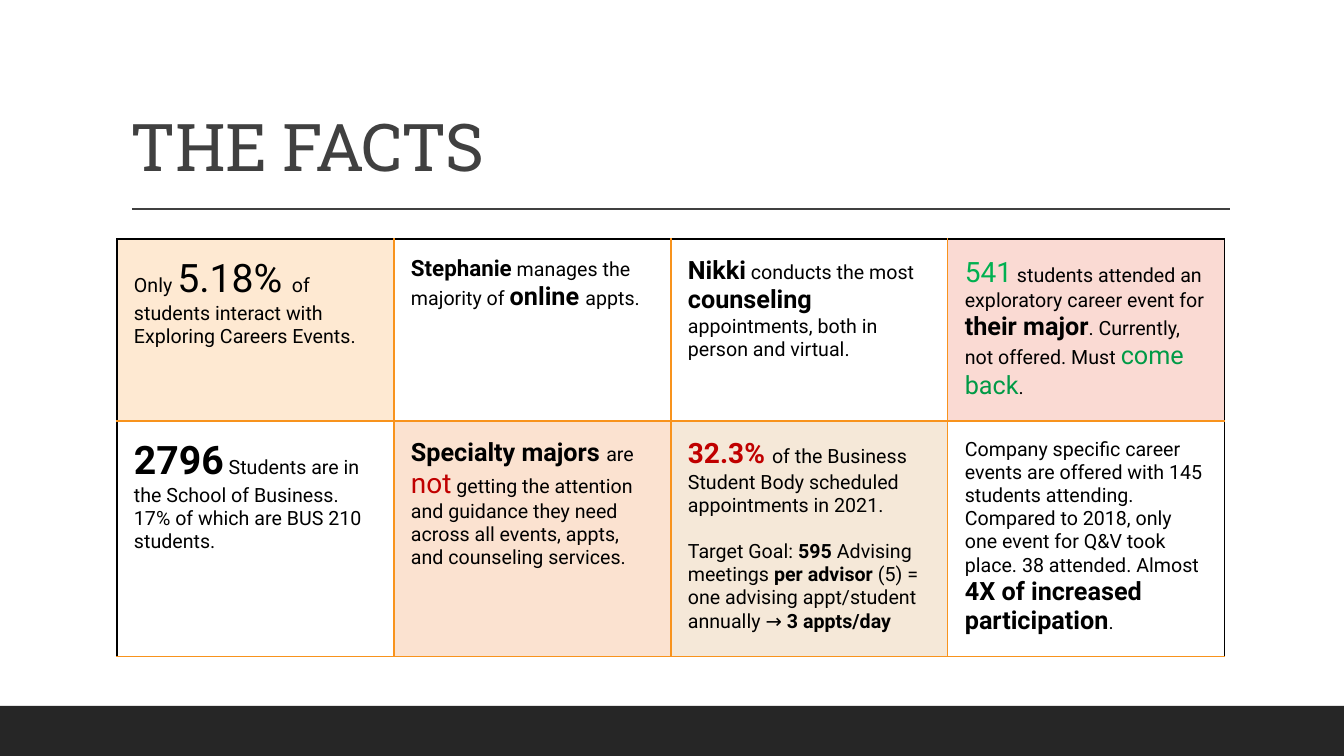
"""Build the slide of career advising facts: a title over a two by four table."""
from lxml import etree
from pptx import Presentation
from pptx import util as u
from pptx.dml.color import RGBColor
from pptx.enum import shapes, text
from pptx.oxml.ns import qn

COLORS = {
    "black": "000000", "dark": "404040", "footer": "262626", "orange": "F8931D",
    "green": "00B050", "deep_green": "009A46", "red": "C00000",
    "cream": "FEE9D2", "rose": "FADAD3", "peach": "FBE2D0", "sand": "F5E8D8",
}
TITLE = "THE FACTS"
BODY_FONT, TITLE_FONT = "Roboto", "Roboto Slab"
BODY = (14, False, "black")
BOLD = (14, True, "black")
STRONG = (18, True, "black")

FACTS = [
    [
        ("cream", [[("Only ", BODY), ("5.18% ", (28, False, "black")),
                    ("of students interact with Exploring Careers Events.", BODY)]]),
        (None, [[("Stephanie", (16, True, "black")), (" manages the majority of ", BODY),
                 ("online ", STRONG), ("appts.", BODY)]]),
        (None, [[("Nikki", STRONG), (" conducts the most ", BODY), ("counseling", STRONG),
                 (" appointments, both in person and virtual.", BODY)]]),
        ("rose", [[("541", (20, False, "green")),
                   (" students attended an exploratory career event for ", BODY),
                   ("their major", STRONG), (". Currently, not offered. Must ", BODY),
                   ("come back", (18, False, "deep_green")), (".", BODY)]]),
    ],
    [
        (None, [[("2796", (28, True, "black")),
                 (" Students are in the School of Business. "
                  "17% of which are BUS 210 students.", BODY)]]),
        ("peach", [[("Specialty majors ", STRONG), ("are ", BODY), ("not", (20, False, "red")),
                    (" getting the attention and guidance they need across all events, "
                     "appts, and counseling services.", BODY)]]),
        ("sand", [[("32.3% ", (20, True, "red")),
                   ("of the Business Student Body scheduled appointments in 2021.", BODY)],
                  [("Target Goal: ", BODY), ("595", BOLD), (" Advising meetings ", BODY),
                   ("per advisor ", BOLD), ("(5) = one advising appt/student annually → ", BODY),
                   ("3 appts/day", BOLD)]]),
        (None, [[("Company specific career events are offered with 145 students attending. "
                  "Compared to 2018, only one event for Q&V took place. 38 attended. Almost ",
                  BODY),
                 ("4X of increased participation", STRONG), (".", BODY)]]),
    ],
]

SLIDE_W, SLIDE_H = 1344, 756
FOOTER_H = 50
TITLE_BOX = (121, 31, 1109, 160)
RULE = (132, 209, 1230, 209)
TABLE_LEFT, TABLE_TOP, COLUMN_W = 117, 239, 277
ROW_HEIGHTS = [178, 231]
CELL_MARGIN = 17
PARAGRAPH_GAP = 16.5


def px(*lengths):
    return [u.Emu(round(length * 914400 / 100.8)) for length in lengths]


def color(name):
    return RGBColor.from_string(COLORS[name])


def style(span, font, size, bold, tint):
    span.font.name = font
    span.font.size = u.Pt(size)
    span.font.bold = bold
    span.font.color.rgb = color(tint)


def add_footer(slide):
    bar = slide.shapes.add_shape(shapes.MSO_SHAPE.RECTANGLE,
                                 *px(0, SLIDE_H - FOOTER_H, SLIDE_W, FOOTER_H))
    bar.shadow.inherit = False
    bar.fill.solid()
    bar.fill.fore_color.rgb = color("footer")
    bar.line.fill.background()


def add_rule(slide):
    rule = slide.shapes.add_connector(shapes.MSO_CONNECTOR.STRAIGHT, *px(*RULE))
    rule.line.color.rgb = color("dark")
    rule.line.width = u.Pt(1)
    etree.SubElement(rule._element.spPr, qn("a:effectLst"))


def add_title(slide):
    frame = slide.shapes.add_textbox(*px(*TITLE_BOX)).text_frame
    frame.word_wrap = True
    frame.vertical_anchor = text.MSO_ANCHOR.BOTTOM
    frame.text = TITLE
    para = frame.paragraphs[0]
    para.line_spacing = 0.9
    span = para.runs[0]
    style(span, TITLE_FONT, 47, False, "dark")
    span._r.get_or_add_rPr().set("spc", "-50")


def add_borders(cell, row, column):
    last_row, last_column = len(FACTS) - 1, len(FACTS[0]) - 1
    borders = {
        "a:lnL": ("black" if column == 0 else "orange", 1),
        "a:lnR": ("black" if column == last_column else "orange", 1),
        "a:lnT": ("black", 1) if row == 0 else ("orange", 2),
        "a:lnB": ("orange", 1 if row == last_row else 2),
    }
    properties = cell._tc.get_or_add_tcPr()
    for tag, (tint, width) in borders.items():
        line = etree.SubElement(properties, qn(tag), w=str(u.Pt(width)))
        fill = etree.SubElement(line, qn("a:solidFill"))
        etree.SubElement(fill, qn("a:srgbClr"), val=COLORS[tint])


def fill_cell(cell, tint, paragraphs):
    cell.margin_left = cell.margin_right = px(CELL_MARGIN)[0]
    cell.margin_top = cell.margin_bottom = px(CELL_MARGIN)[0]
    if tint:
        cell.fill.solid()
        cell.fill.fore_color.rgb = color(tint)
    else:
        cell.fill.background()
    frame = cell.text_frame
    for index, spans in enumerate(paragraphs):
        para = frame.add_paragraph() if index else frame.paragraphs[0]
        if index:
            para.space_before = u.Pt(PARAGRAPH_GAP)
        for words, look in spans:
            span = para.add_run()
            span.text = words
            style(span, BODY_FONT, *look)


def add_facts(slide):
    rows, columns = len(FACTS), len(FACTS[0])
    bounds = px(TABLE_LEFT, TABLE_TOP, COLUMN_W * columns, sum(ROW_HEIGHTS))
    table = slide.shapes.add_table(rows, columns, *bounds).table
    table.first_row = table.horz_banding = False
    for column in table.columns:
        column.width = px(COLUMN_W)[0]
    for row, facts in enumerate(FACTS):
        table.rows[row].height = px(ROW_HEIGHTS[row])[0]
        for column, (tint, paragraphs) in enumerate(facts):
            cell = table.cell(row, column)
            add_borders(cell, row, column)
            fill_cell(cell, tint, paragraphs)


def main():
    deck = Presentation()
    deck.slide_width, deck.slide_height = px(SLIDE_W, SLIDE_H)
    page = deck.slides.add_slide(deck.slide_layouts[6])
    add_footer(page)
    add_rule(page)
    add_title(page)
    add_facts(page)
    deck.save("out.pptx")


if __name__ == "__main__":
    main()
